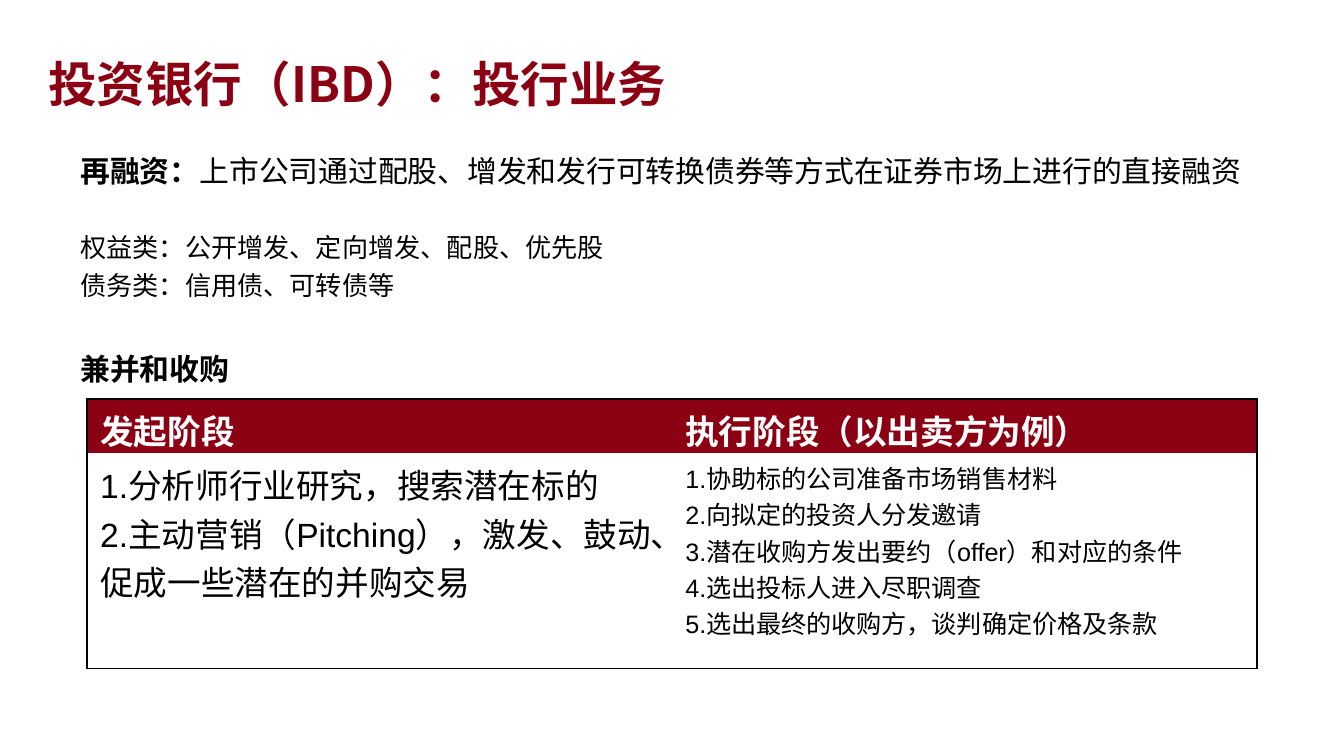
from lxml import etree
from pptx import Presentation
from pptx.dml.color import RGBColor
from pptx.enum.lang import MSO_LANGUAGE_ID
from pptx.enum.text import MSO_AUTO_SIZE, PP_ALIGN
from pptx.oxml.ns import qn
from pptx.util import Pt

PX = 9525
JUST = PP_ALIGN.JUSTIFY
GROW = MSO_AUTO_SIZE.SHAPE_TO_FIT_TEXT
LANG = MSO_LANGUAGE_ID.SIMPLIFIED_CHINESE
SANS = "Noto Sans CJK SC"
PLAIN = "{2D5ABB26-0587-4C30-8999-92F81FD0307C}"
HEX = {"title": "8B0012", "head": "8B0013", "ink": "000000", "paper": "FFFFFF"}


def px(*nums):
    return [n * PX for n in nums]


def write(para, text, size=14, bold=False, color="ink", font=SANS,
          align=None, lead=None, gap=None):
    if align is not None:
        para.alignment = align
    if lead:
        para.line_spacing = lead
    if gap:
        para.space_before = Pt(gap)
    run = para.add_run()
    run.text = text
    face = run.font
    face.size, face.bold, face.name = Pt(size), bold, font
    face.language_id = LANG
    face.color.rgb = RGBColor.from_string(HEX[color])
    east = etree.SubElement(run._r.get_or_add_rPr(), qn("a:ea"))
    east.set("typeface", SANS)


def fill_frame(frame, lines, **style):
    for i, (text, extra) in enumerate(lines):
        para = frame.paragraphs[0] if i == 0 else frame.add_paragraph()
        write(para, text, **{**style, **extra})


def add_box(slide, box):
    frame = slide.shapes.add_textbox(*px(*box)).text_frame
    frame.word_wrap = True
    frame.auto_size = GROW
    return frame


def add_title(slide, box):
    frame = add_box(slide, box)
    fill_frame(frame, [("投资银行（IBD）：投行业务", {})],
               size=26, bold=True, color="title", lead=1.14)


def add_body(slide, box):
    frame = add_box(slide, box)
    lines = [
        ("再融资：", {"size": 16, "bold": True}),
        ("权益类：公开增发、定向增发、配股、优先股", {"gap": 20}),
        ("债务类：信用债、可转债等", {}),
        ("兼并和收购", {"size": 16, "bold": True, "gap": 23}),
    ]
    fill_frame(frame, lines, align=JUST, lead=1.2)
    write(frame.paragraphs[0],
          "上市公司通过配股、增发和发行可转换债券等方式在证券市场上进行的直接融资", size=16)


def add_edges(cell, sides):
    props = cell._tc.get_or_add_tcPr()
    for i, side in enumerate(sides):
        line = etree.Element(qn("a:ln" + side), w=str(Pt(1)))
        solid = etree.SubElement(line, qn("a:solidFill"))
        etree.SubElement(solid, qn("a:srgbClr"), val=HEX["ink"])
        props.insert(i, line)


def add_stages(slide, box, head):
    left, top, width, height = box
    table = slide.shapes.add_table(2, 2, *px(*box)).table
    table._tbl.tblPr.find(qn("a:tableStyleId")).text = PLAIN
    table.horz_banding = False
    for col in table.columns:
        col.width = px(width // 2)[0]
    for row, tall in zip(table.rows, (head, height - head)):
        row.height = px(tall)[0]
    stages = [
        ("发起阶段", 18, [
            "1.分析师行业研究，搜索潜在标的",
            "2.主动营销（Pitching），激发、鼓动、促成一些潜在的并购交易",
        ]),
        ("执行阶段（以出卖方为例）", 13.5, [
            "1.协助标的公司准备市场销售材料",
            "2.向拟定的投资人分发邀请",
            "3.潜在收购方发出要约（offer）和对应的条件",
            "4.选出投标人进入尽职调查",
            "5.选出最终的收购方，谈判确定价格及条款",
        ]),
    ]
    for i, (name, size, steps) in enumerate(stages):
        top_cell, low_cell = table.cell(0, i), table.cell(1, i)
        top_cell.fill.solid()
        top_cell.fill.fore_color.rgb = RGBColor.from_string(HEX["head"])
        low_cell.fill.background()
        fill_frame(top_cell.text_frame, [(name, {})],
                   size=18, bold=True, color="paper", font="Arial")
        fill_frame(low_cell.text_frame, [(step, {}) for step in steps],
                   size=size, font="Arial")
        side = "LR"[i]
        add_edges(top_cell, side + "T")
        add_edges(low_cell, side + "B")


def main():
    deck = Presentation()
    deck.slide_width, deck.slide_height = px(960, 540)
    slide = deck.slides.add_slide(deck.slide_layouts[6])
    add_body(slide, (48, 99, 864, 215))
    add_title(slide, (25, 28, 526, 58))
    add_stages(slide, (62, 285, 836, 192), 38)
    deck.save("out.pptx")


if __name__ == "__main__":
    main()
